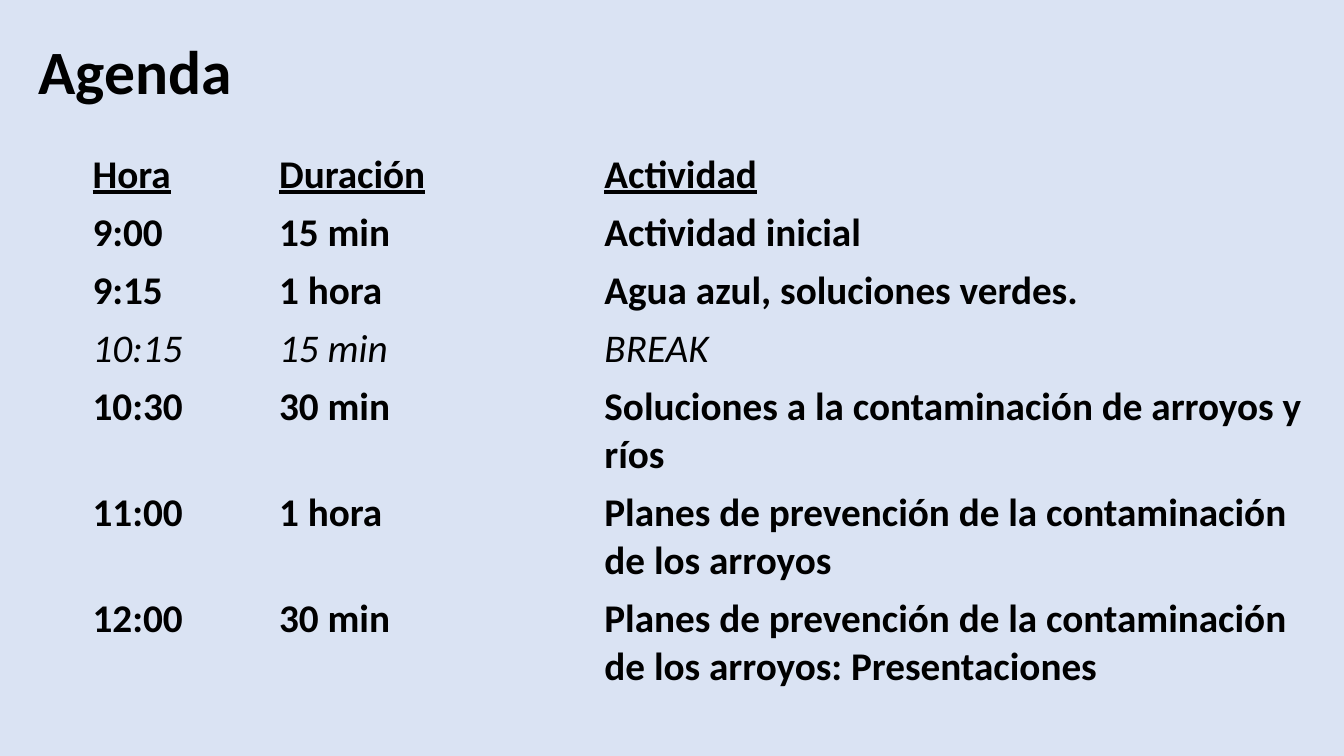
from dataclasses import dataclass
from pptx import Presentation
from pptx.dml.color import RGBColor
from pptx.enum.text import MSO_ANCHOR, PP_ALIGN
from pptx.oxml.ns import qn
from pptx.util import Cm, Pt


@dataclass(frozen=True)
class Theme:
    """Colours, font and type sizes of the agenda."""
    paper: RGBColor = RGBColor(0xDA, 0xE3, 0xF3)
    ink: RGBColor = RGBColor(0, 0, 0)
    font: str = "Calibri"
    head: int = 44
    body: int = 28
    grid: str = "{2D5ABB26-0587-4C30-8999-92F81FD0307C}"


class Deck:
    """Holds the theme and the current slide."""

    def __init__(self, theme):
        """Open a wide deck with one title-only slide."""
        self.theme = theme
        self.deck = Presentation()
        self.deck.slide_width, self.deck.slide_height = Cm(33.87), Cm(19.05)
        self.slide = self.deck.slides.add_slide(self.deck.slide_layouts[5])
        fill = self.slide.background.fill
        fill.solid()
        fill.fore_color.rgb = theme.paper

    def style(self, frame, size, bold=True, italic=False, under=False):
        """Format every run of a text frame."""
        for para in frame.paragraphs:
            para.alignment = PP_ALIGN.LEFT
            for run in para.runs:
                font = run.font
                font.name, font.size = self.theme.font, Pt(size)
                font.color.rgb = self.theme.ink
                font.bold, font.italic, font.underline = bold, italic, under

    def title(self, text, left, top, width, height):
        """Place and fill the title."""
        shape = self.slide.shapes.title
        shape.left, shape.top = Cm(left), Cm(top)
        shape.width, shape.height = Cm(width), Cm(height)
        frame = shape.text_frame
        frame.text = text
        frame.vertical_anchor = MSO_ANCHOR.MIDDLE
        frame.paragraphs[0].line_spacing = 0.9
        self.style(frame, self.theme.head)

    def table(self, rows, left, top, widths, height, pitch):
        """Add a plain table with an underlined header and italic breaks."""
        shape = self.slide.shapes.add_table(
            len(rows), len(widths), Cm(left), Cm(top), Cm(sum(widths)), Cm(height))
        table = shape.table
        table.first_row = table.horz_banding = False
        table._tbl.tblPr.find(qn("a:tableStyleId")).text = self.theme.grid
        for col, width in zip(table.columns, widths):
            col.width = Cm(width)
        for r, row in enumerate(rows):
            table.rows[r].height = Cm(pitch)
            pause = row[-1] == "BREAK"
            for c, text in enumerate(row):
                cell = table.cell(r, c)
                cell.fill.background()
                cell.text_frame.text = text
                self.style(cell.text_frame, self.theme.body,
                           bold=not pause, italic=pause, under=r == 0)
        shape.height = Cm(height)

    def save(self):
        """Write the deck."""
        self.deck.save("out.pptx")


AGENDA = [
    ("Hora", "Duración", "Actividad"),
    ("9:00", "15 min", "Actividad inicial"),
    ("9:15", "1 hora", "Agua azul, soluciones verdes."),
    ("10:15", "15 min", "BREAK"),
    ("10:30", "30 min", "Soluciones a la contaminación de arroyos y ríos"),
    ("11:00", "1 hora", "Planes de prevención de la contaminación de los arroyos"),
    ("12:00", "30 min",
     "Planes de prevención de la contaminación de los arroyos: Presentaciones"),
]


def main():
    """Build the agenda slide."""
    deck = Deck(Theme())
    deck.title("Agenda", 0.71, 0.05, 29.21, 3.68)
    deck.table(AGENDA, 2.08, 3.68, (4.7, 8.2, 18.16), 13.64, 1.04)
    deck.save()


if __name__ == "__main__":
    main()
